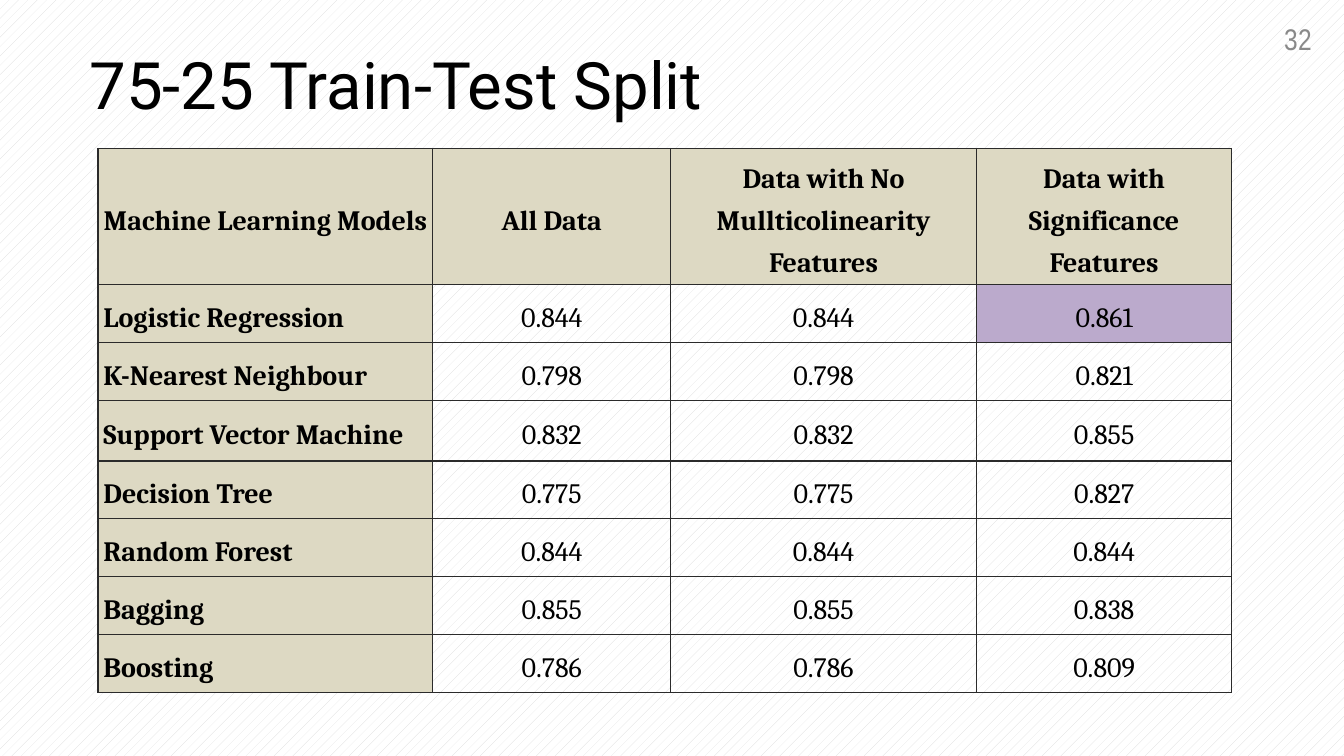
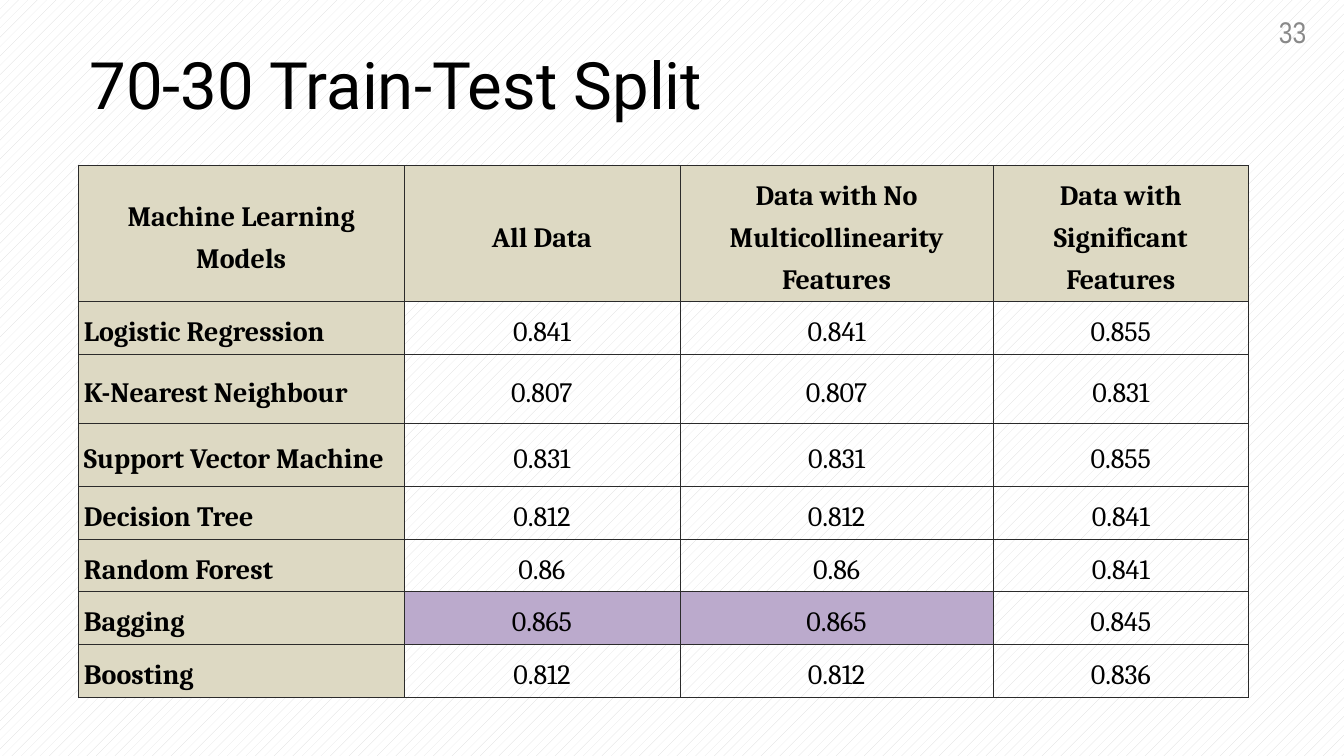
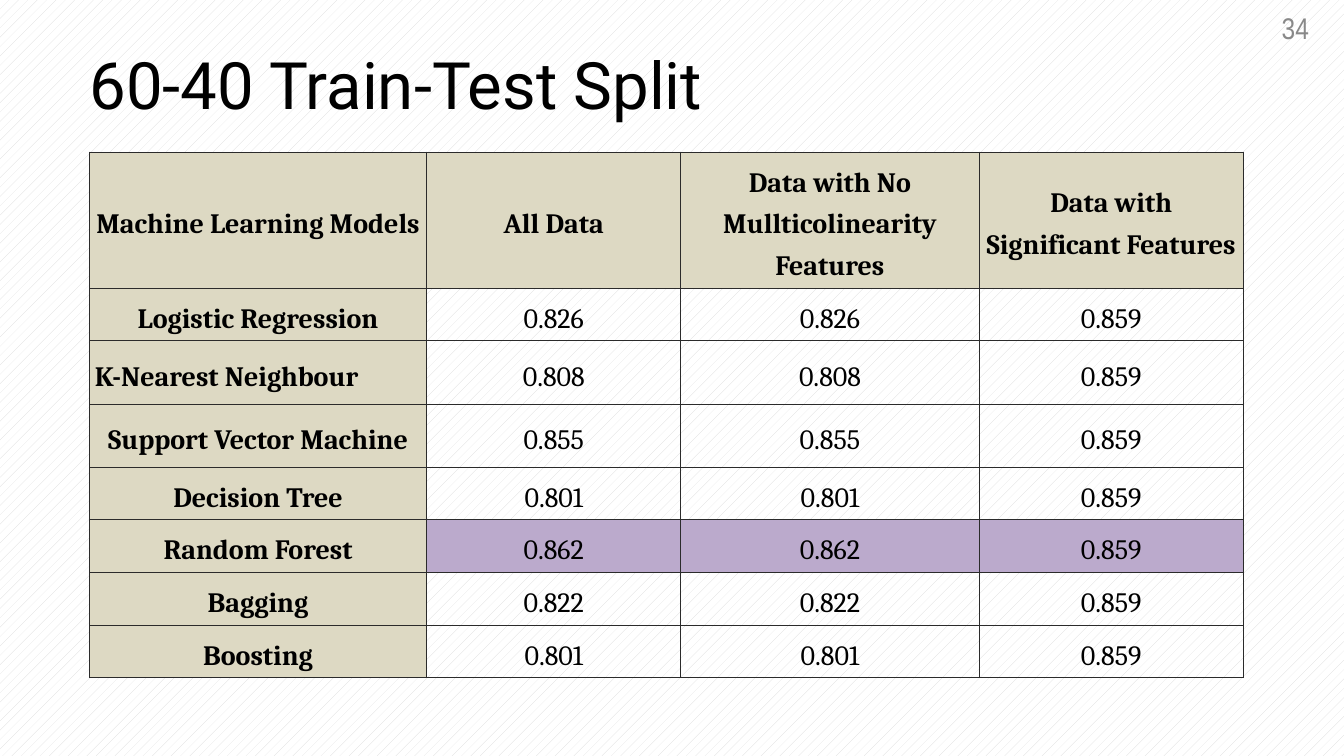
from lxml import etree
from pptx import Presentation
from pptx.dml.color import RGBColor
from pptx.enum import dml, text
from pptx.oxml import ns
from pptx.util import Pt

BLACK = RGBColor(0x00, 0x00, 0x00)
WHITE = RGBColor(0xFF, 0xFF, 0xFF)
GRAY = RGBColor(0x89, 0x89, 0x89)
HATCH = RGBColor(0xD9, 0xD9, 0xD9)
BORDER = RGBColor(0x2B, 0x2B, 0x2B)
TAN = RGBColor(0xDD, 0xD9, 0xC3)
PURPLE = RGBColor(0xBB, 0xAA, 0xCC)

LEFT, CENTER, RIGHT = text.PP_ALIGN.LEFT, text.PP_ALIGN.CENTER, text.PP_ALIGN.RIGHT
MODELS = ["Logistic Regression", "K-Nearest Neighbour", "Support Vector Machine",
          "Decision Tree", "Random Forest", "Bagging", "Boosting"]
HEADER_HEIGHT = 146
CELL_INSET = Pt(5.76)

# "best" lists the highlighted (row, column) cells; "left" lists the rows with a left-aligned model name.
SPLITS = [
    dict(title="75-25 Train-Test Split", number="32", number_at=(1364.4, 22.3, 41),
         table_at=(105.1, 159.1), border=1.5, left=range(1, 8), best={(1, 3)},
         widths=[358.6, 254.9, 327.6, 273.6], heights=[62, 62, 64.8, 62, 62, 62, 62],
         headers=["Machine Learning Models", "All Data",
                  "Data with No\nMullticolinearity Features",
                  "Data with Significance Features"],
         scores=[("0.844", "0.844", "0.861"), ("0.798", "0.798", "0.821"),
                 ("0.832", "0.832", "0.855"), ("0.775", "0.775", "0.827"),
                 ("0.844", "0.844", "0.844"), ("0.855", "0.855", "0.838"),
                 ("0.786", "0.786", "0.809")]),
    dict(title="70-30 Train-Test Split", number="33", number_at=(1361.5, 14.4, 38.2),
         table_at=(84.2, 177.1), border=0.75, left=range(1, 8), best={(6, 1), (6, 2)},
         widths=[348.5, 295.9, 335.5, 273.6], heights=[57, 73.4, 67.7, 56.4, 56.4, 56.4, 56.4],
         headers=["Machine Learning Models", "All Data",
                  "Data with No Multicollinearity Features",
                  "Data with Significant Features"],
         scores=[("0.841", "0.841", "0.855"), ("0.807", "0.807", "0.831"),
                 ("0.831", "0.831", "0.855"), ("0.812", "0.812", "0.841"),
                 ("0.86", "0.86", "0.841"), ("0.865", "0.865", "0.845"),
                 ("0.812", "0.812", "0.836")]),
    dict(title="60-40 Train-Test Split", number="34", number_at=(1363.7, 10.8, 38.9),
         table_at=(95.8, 162.7), border=0.75, left=[2], best={(5, 1), (5, 2), (5, 3)},
         widths=[361.4, 272.2, 319.7, 283], heights=[56.4, 67.7, 67.7, 56.4, 56.4, 56.4, 56.4],
         headers=["Machine Learning Models", "All Data",
                  "Data with No Mullticolinearity Features",
                  "Data with Significant Features"],
         scores=[("0.826", "0.826", "0.859"), ("0.808", "0.808", "0.859"),
                 ("0.855", "0.855", "0.859"), ("0.801", "0.801", "0.859"),
                 ("0.862", "0.862", "0.859"), ("0.822", "0.822", "0.859"),
                 ("0.801", "0.801", "0.859")]),
]


def write(tf, content, size=30, font="Cambria", color=BLACK, bold=False,
          align=LEFT, leading=44.8, tracking=0):
    """Fill a text frame, one paragraph per line of content."""
    tf.word_wrap = True
    for i, line in enumerate(content.split("\n")):
        p = tf.add_paragraph() if i else tf.paragraphs[0]
        p.alignment = align
        p.line_spacing = Pt(leading)
        r = p.add_run()
        r.text = line
        r.font.size, r.font.name, r.font.bold = Pt(size), font, bold
        r.font.color.rgb = color
        if tracking:
            r._r.get_or_add_rPr().set("spc", str(round(tracking * 100)))


def outline(cell, width):
    """Draw all four borders of a cell; call before the cell gets its fill."""
    tc_pr = cell._tc.get_or_add_tcPr()
    for side in ("a:lnL", "a:lnR", "a:lnT", "a:lnB"):
        ln = etree.SubElement(tc_pr, ns.qn(side), w=str(Pt(width)))
        fill = etree.SubElement(ln, ns.qn("a:solidFill"))
        etree.SubElement(fill, ns.qn("a:srgbClr"), val=str(BORDER))


prs = Presentation()
prs.slide_width, prs.slide_height = Pt(1440), Pt(810)

bg = prs.slide_master.background.fill
bg.patterned()
bg.pattern = dml.MSO_PATTERN.PERCENT_5
bg.fore_color.rgb, bg.back_color.rgb = HATCH, WHITE

for split in SPLITS:
    s = prs.slides.add_slide(prs.slide_layouts[5])

    # Title and page number
    title = s.shapes.title
    title.left, title.top, title.width, title.height = Pt(95.8), Pt(30.2), Pt(1262.9), Pt(97.2)
    x, y, w = split["number_at"]
    number = s.shapes.add_textbox(Pt(x), Pt(y), Pt(w), Pt(38.2))
    for sp in (title, number):
        tf = sp.text_frame
        tf.margin_left = tf.margin_right = tf.margin_top = tf.margin_bottom = 0
        tf.vertical_anchor = text.MSO_ANCHOR.TOP
        tf.auto_size = text.MSO_AUTO_SIZE.SHAPE_TO_FIT_TEXT
    write(title.text_frame, split["title"], size=70, font="Roboto", leading=100.8)
    write(number.text_frame, split["number"], size=32, font="Arial Narrow", color=GRAY,
          align=RIGHT, leading=38.4, tracking=0.3)

    # Score table
    rows = [split["headers"]] + [(m, *scores) for m, scores in zip(MODELS, split["scores"])]
    widths, heights = split["widths"], [HEADER_HEIGHT] + split["heights"]
    x, y = split["table_at"]
    table = s.shapes.add_table(len(rows), len(widths), Pt(x), Pt(y),
                               Pt(sum(widths)), Pt(sum(heights))).table
    table.first_row = table.horz_banding = False
    for column, width in zip(table.columns, widths):
        column.width = Pt(width)
    for i, row in enumerate(rows):
        table.rows[i].height = Pt(heights[i])
        for j, content in enumerate(row):
            cell = table.cell(i, j)
            cell.margin_left = cell.margin_right = CELL_INSET
            cell.margin_top = cell.margin_bottom = CELL_INSET
            cell.vertical_anchor = text.MSO_ANCHOR.MIDDLE
            outline(cell, split["border"])
            heading = i == 0 or j == 0
            if heading or (i, j) in split["best"]:
                cell.fill.solid()
                cell.fill.fore_color.rgb = TAN if heading else PURPLE
            else:
                cell.fill.background()
            write(cell.text_frame, content, bold=heading,
                  align=LEFT if j == 0 and i in split["left"] else CENTER)

prs.save("out.pptx")
